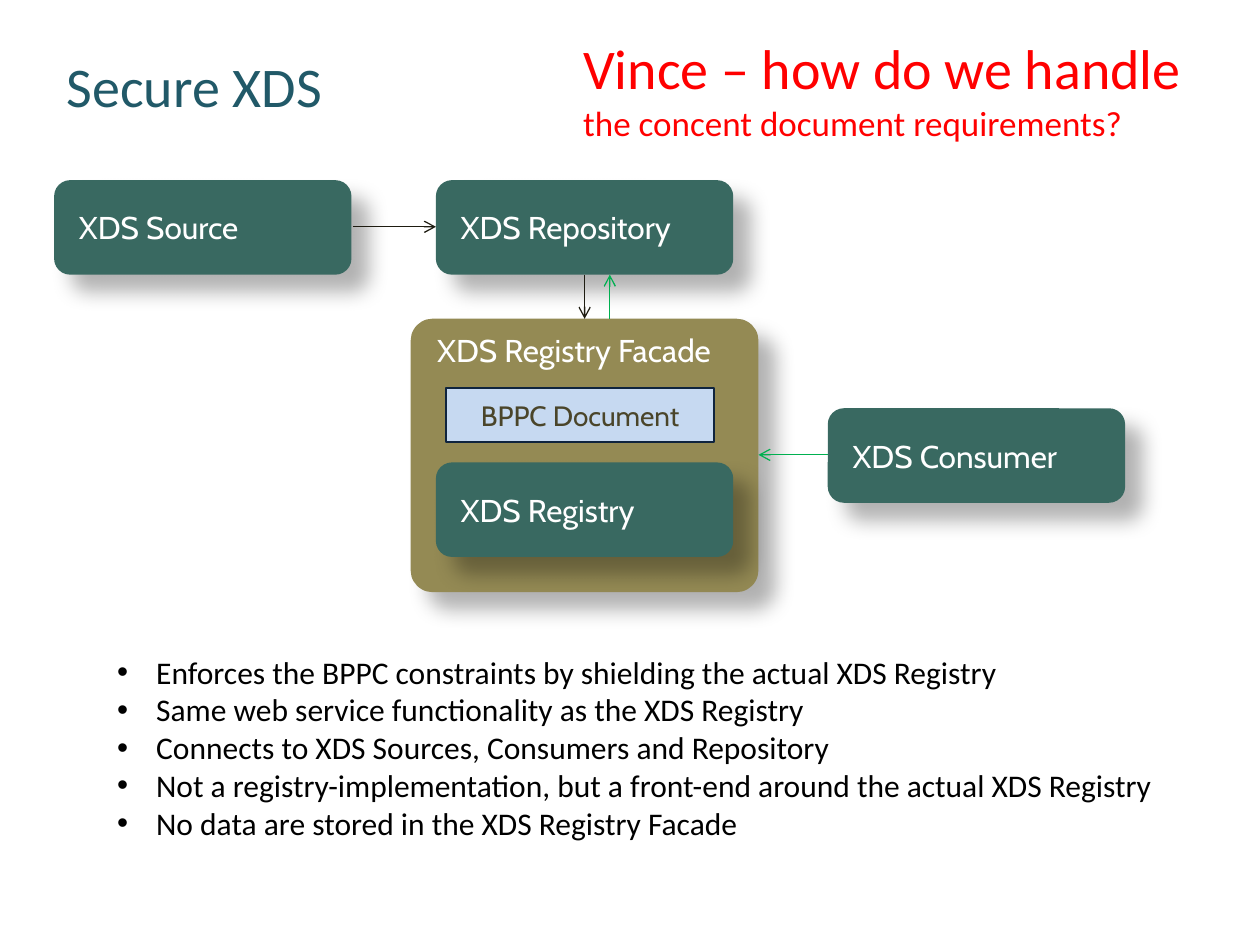
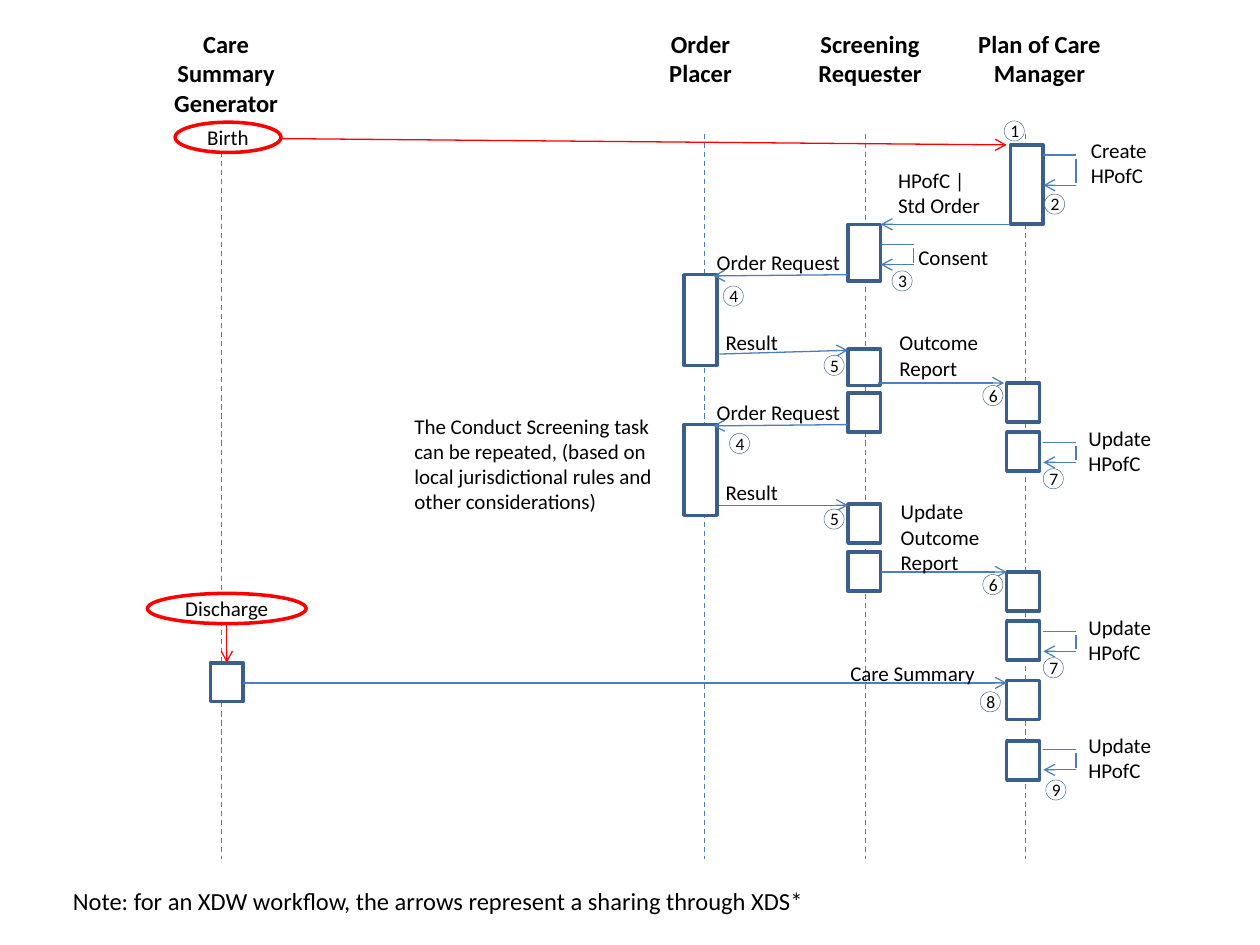
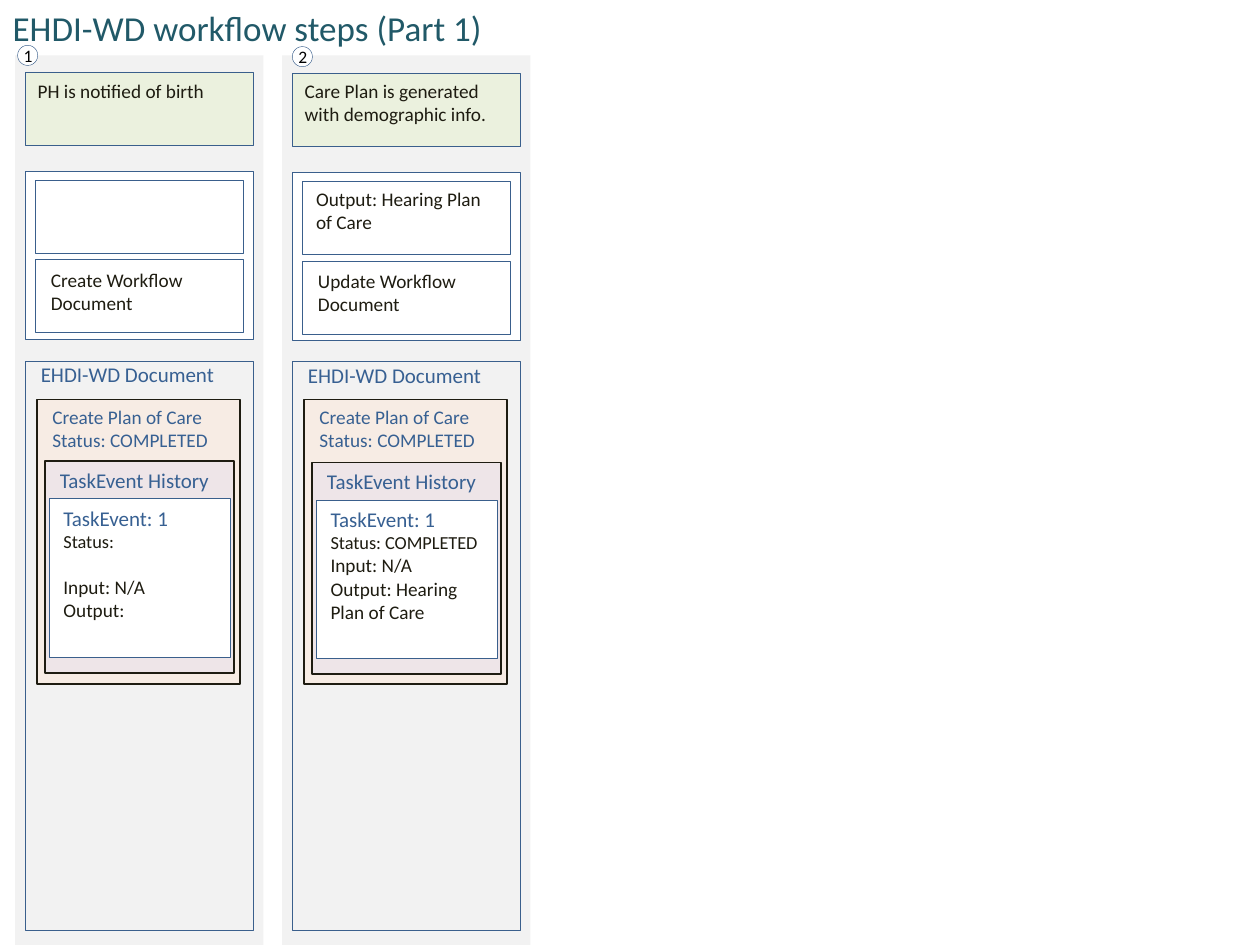
from dataclasses import dataclass, replace
from lxml.etree import SubElement
from pptx import Presentation
from pptx.dml.color import RGBColor
from pptx.enum.dml import MSO_LINE
from pptx.enum.shapes import MSO_CONNECTOR, MSO_SHAPE
from pptx.enum.text import MSO_ANCHOR, MSO_AUTO_SIZE, PP_ALIGN
from pptx.oxml.ns import qn
from pptx.util import Emu, Inches, Pt

COLUMNS, ROWS = 100, 75
TITLE_AND_BODY, TITLE_ONLY, BLANK = 1, 5, 6


@dataclass(frozen=True)
class Style:
    size: float
    color: str
    font: str = "Calibri"
    bold: bool = False
    before: float = 0


class Theme:
    # Colours
    white, black, red, green = "FFFFFF", "000000", "FF0000", "00B050"
    ink, navy, frame, flow = "1E1C11", "0F243E", "3A5F8C", "4B7EBC"
    teal, olive, sky = "396961", "948A54", "C6D9F1"
    panel, event, task, history = "F2F2F2", "EBF1DE", "FDE8D7", "E6E0EC"
    # Type
    title = Style(32, "215968")
    step_title = replace(title, size=20)
    question = Style(32, red)
    question_small = replace(question, size=20)
    card = Style(18, white, "Cabin")
    document = Style(16, "4A452A", "Cabin")
    bullet = Style(18, black)
    actor = Style(14, black, bold=True)
    note = Style(14, black)
    message = Style(12, black)
    badge = Style(10, black)
    heading = Style(12, "376092")
    status = Style(11, "376092")
    detail = Style(11, ink)
    detail_small = replace(detail, size=10.5)
    detail_apart = replace(detail, before=12.8)


class Deck:
    """Holds the style and the slide being drawn; lengths are grid columns and rows."""

    def __init__(self, theme):
        self.theme = theme
        self.show = Presentation()
        self.show.slide_width, self.show.slide_height = Inches(10), Inches(7.5)
        self.slide = None

    def new_slide(self, layout):
        self.slide = self.show.slides.add_slide(self.show.slide_layouts[layout])

    def cells(self, *lengths):
        """Turn alternating column and row counts into slide lengths."""
        units = (self.show.slide_width / COLUMNS, self.show.slide_height / ROWS)
        return [Emu(round(n * units[i % 2])) for i, n in enumerate(lengths)]

    def add_paragraphs(self, frame, paragraphs, style, align=PP_ALIGN.LEFT):
        """Each paragraph is a string, or a list of (text, style) runs."""
        for i, content in enumerate(paragraphs):
            paragraph = frame.paragraphs[0] if i == 0 else frame.add_paragraph()
            paragraph.alignment = align
            runs = [(content, style)] if isinstance(content, str) else content
            paragraph.space_before = Pt(runs[0][1].before)
            for text, look in runs:
                run = paragraph.add_run()
                run.text = text
                run.font.name, run.font.size = look.font, Pt(look.size)
                run.font.bold = look.bold
                run.font.color.rgb = RGBColor.from_string(look.color)

    def fill_placeholder(self, holder, at, paragraphs, style):
        holder.left, holder.top, holder.width, holder.height = self.cells(*at)
        frame = holder.text_frame
        frame.auto_size, frame.vertical_anchor = MSO_AUTO_SIZE.NONE, MSO_ANCHOR.TOP
        self.add_paragraphs(frame, paragraphs, style)

    def title(self, at, text, style):
        self.fill_placeholder(self.slide.shapes.title, at, [text], style)

    def bullets(self, at, items, style):
        body = self.slide.placeholders[1]
        self.fill_placeholder(body, at, items, style)
        for properties in body.element.iter(qn("a:pPr")):
            properties.set("marL", str(Inches(0.31)))
            properties.set("indent", str(-Inches(0.31)))

    def label(self, at, paragraphs, style, align=PP_ALIGN.LEFT, wrap=True, on=None):
        box = (on or self.slide.shapes).add_textbox(*self.cells(*at))
        box.text_frame.word_wrap = wrap
        box.text_frame.auto_size = MSO_AUTO_SIZE.SHAPE_TO_FIT_TEXT
        self.add_paragraphs(box.text_frame, paragraphs, style, align)

    def box(self, at, fill=None, line=None, weight=0.25, kind=MSO_SHAPE.RECTANGLE,
            opacity=None, on=None):
        shape = (on or self.slide.shapes).add_shape(kind, *self.cells(*at))
        shape.shadow.inherit = False
        if fill:
            shape.fill.solid()
            shape.fill.fore_color.rgb = RGBColor.from_string(fill)
        else:
            shape.fill.background()
        if line:
            shape.line.color.rgb = RGBColor.from_string(line)
            shape.line.width = Pt(weight)
        else:
            shape.line.fill.background()
        if opacity:
            color = shape.element.spPr.find(qn("a:solidFill")).find(qn("a:srgbClr"))
            SubElement(color, qn("a:alpha"), val=str(opacity * 1000))
        return shape

    def text_in(self, shape, paragraphs, style, left=0.1, anchor=MSO_ANCHOR.MIDDLE,
                align=PP_ALIGN.LEFT):
        frame = shape.text_frame
        frame.word_wrap, frame.vertical_anchor = True, anchor
        frame.margin_left = Inches(left)
        self.add_paragraphs(frame, paragraphs, style, align)

    def card(self, at, text, fill, rounding=0.17, anchor=MSO_ANCHOR.MIDDLE):
        """A rounded box with a soft shadow."""
        shape = self.box(at, fill, kind=MSO_SHAPE.ROUNDED_RECTANGLE)
        shape.adjustments[0] = rounding
        effects = shape.element.spPr.find(qn("a:effectLst"))
        shadow = SubElement(effects, qn("a:outerShdw"), blurRad=str(Pt(12)),
                            dist=str(Pt(14)), dir=str(45 * 60000),
                            algn="tl", rotWithShape="0")
        color = SubElement(shadow, qn("a:srgbClr"), val=self.theme.black)
        SubElement(color, qn("a:alpha"), val="30000")
        self.text_in(shape, [text], self.theme.card, 0.16, anchor)

    def line(self, ends, color, arrow=False, dashed=False, on=None):
        connector = (on or self.slide.shapes).add_connector(
            MSO_CONNECTOR.STRAIGHT, *self.cells(*ends))
        connector.line.color.rgb = RGBColor.from_string(color)
        connector.line.width = Pt(0.75)
        if dashed:
            connector.line.dash_style = MSO_LINE.DASH
        properties = connector.element.spPr
        if arrow:
            SubElement(properties.find(qn("a:ln")), qn("a:tailEnd"), type="arrow")
        SubElement(properties, qn("a:effectLst"))

    def badge(self, x, y, number):
        """A numbered circle."""
        group = self.slide.shapes.add_group_shape().shapes
        self.box((x, y, 1.6, 1.6), self.theme.white, self.theme.frame,
                 kind=MSO_SHAPE.OVAL, on=group)
        self.label((x - 0.5, y - 0.55, 2.7, 2.7), [str(number)], self.theme.badge,
                   wrap=False, on=group)

    def self_call(self, x, y, height=1.6):
        """Three lines that leave a bar and come back to it."""
        group = self.slide.shapes.add_group_shape().shapes
        right, bottom, color = x + 2.6, y + height, self.theme.flow
        self.line((x, y, right, y), color, on=group)
        self.line((right, y + 0.3, right, bottom - 0.15), color, on=group)
        self.line((right, bottom, x, bottom), color, arrow=True, on=group)


def secure_xds(deck):
    theme = deck.theme
    deck.new_slide(TITLE_AND_BODY)
    deck.title((4.3, 3.6, 81.2, 6.4), "Secure XDS", theme.title)

    # Systems, the facade first as it lies behind the registry
    deck.card((32.6, 25.3, 27.6, 21.7), "XDS Registry Facade", theme.olive, 0.08,
              MSO_ANCHOR.TOP)
    for x, y, system in ((4.3, 14.3, "XDS Source"), (34.6, 14.3, "XDS Repository"),
                         (65.7, 32.4, "XDS Consumer"), (34.6, 36.7, "XDS Registry")):
        deck.card((x, y, 23.6, 7.5), system, theme.teal)
    bppc = deck.box((35.4, 30.8, 21.3, 4.3), theme.sky, theme.navy, 1)
    deck.text_in(bppc, ["BPPC Document"], theme.document, align=PP_ALIGN.CENTER)

    # Flows
    for ends, color in (((28, 18, 34.6, 18), theme.ink),
                        ((46.4, 21.8, 46.4, 25.3), theme.ink),
                        ((65.7, 36.1, 60.2, 36.1), theme.green),
                        ((48.4, 25.3, 48.4, 21.8), theme.green)):
        deck.line(ends, color, arrow=True)

    # Properties of the facade and the open question
    deck.bullets((8.3, 51.3, 85, 16.2), (
        "Enforces the BPPC constraints by shielding the actual XDS Registry",
        "Same web service functionality as the XDS Registry",
        "Connects to XDS Sources, Consumers and Repository",
        "Not a registry-implementation, but a front-end around the actual XDS Registry",
        "No data are stored in the XDS Registry Facade"), theme.bullet)
    deck.label((45.3, 2.2, 53.5, 9.8), [[
        ("Vince – how do we handle", theme.question),
        (" the concent document requirements?", theme.question_small)]], theme.question)


def care_sequence(deck):
    theme = deck.theme
    deck.new_slide(BLANK)

    # Actors and their lifelines
    for x, width, height, names in (
            (12.8, 10.3, 8.1, ("Care", "Summary", "Generator")),
            (48.4, 14.4, 5.7, ("Order", "Placer")),
            (63.9, 10.3, 5.7, ("Screening", "Requester")),
            (76.6, 11.8, 5.7, ("Plan of Care", "Manager"))):
        deck.label((x, 1.8, width, height), names, theme.actor, PP_ALIGN.CENTER,
                   wrap=False)
    for x in (17.6, 55.9, 68.7, 81.4):
        deck.line((x, 10.6, x, 68.2), theme.flow, dashed=True)

    # Activity bars: left edge, then top and height of each
    short = 3.1
    bars = {
        16.7: ((52.6, short),),
        54.3: ((21.8, 7.2), (33.7, 7.2)),
        67.3: ((17.8, 4.5), (27.7, 2.9), (31.2, short), (40, short), (43.8, short)),
        79.9: [(y, short) for y in (30.4, 34.3, 45.4, 49.3, 54, 58.8)],
        80.2: ((11.5, 6.3),),
    }
    for x, spans in bars.items():
        for y, height in spans:
            deck.box((x, y, 2.6, height), theme.white, theme.frame, 2)

    # Triggers
    for at, trigger in (((13.9, 9.7, 8.4, 2.4), "Birth"),
                        ((11.7, 47.1, 12.6, 2.4), "Discharge")):
        oval = deck.box(at, theme.white, theme.red, 2, MSO_SHAPE.OVAL)
        deck.text_in(oval, [trigger], theme.message, align=PP_ALIGN.CENTER)
    for ends in ((22.4, 11, 79.9, 11.5), (18, 49.5, 18, 52.6)):
        deck.line(ends, theme.red, arrow=True)

    # Messages between actors
    for ends in ((80.2, 17.8, 69.9, 17.8), (67.3, 21.8, 56.6, 21.9),
                 (57.1, 28.1, 67.3, 27.8), (69.7, 30.4, 79.7, 30.4),
                 (67.3, 33.7, 56.6, 33.8), (57.1, 40.1, 67.3, 40.1),
                 (69.9, 45.4, 79.9, 45.4), (19.3, 54.2, 79.9, 54.2)):
        deck.line(ends, theme.flow, arrow=True)
    for at, text in (((70.3, 12.8, 10.4, 5), ("HPofC |", "Std Order")),
                     ((55.9, 19.3, 12.7, 3), ("Order Request",)),
                     ((55.9, 31.2, 13, 3), ("Order Request",)),
                     ((56.6, 25.7, 11.5, 3), ("Result",)),
                     ((56.6, 37.6, 11.5, 3), ("Result",)),
                     ((70.4, 25.7, 12.4, 5), ("Outcome Report",)),
                     ((70.5, 39.1, 12.4, 7.1), ("Update Outcome Report",)),
                     ((66.5, 51.9, 12.6, 3), ("Care Summary",)),
                     ((31.9, 32.3, 21.6, 9.1),
                      ("The Conduct Screening task can be repeated, (based on local "
                       "jurisdictional rules and other considerations)",))):
        deck.label(at, text, theme.message)

    # Steps an actor takes alone
    deck.self_call(82.8, 12.3, 2.4)
    deck.label((85.6, 10.4, 6.5, 5), ("Create", "HPofC"), theme.message, wrap=False)
    deck.self_call(69.9, 19.4)
    deck.label((71.9, 18.9, 7.6, 3), ("Consent",), theme.message, wrap=False)
    for y in (35.1, 50.1, 59.5):
        deck.self_call(82.8, y)
        deck.label((85.4, y - 1.85, 7, 5), ("Update", "HPofC"), theme.message, wrap=False)

    # Step numbers
    for x, y, number in ((79.7, 9.6, 1), (82.9, 15.4, 2), (70.8, 21.5, 3),
                         (57.4, 22.7, 4), (57.9, 34.4, 4), (65.4, 28.2, 5),
                         (65.4, 40.4, 5), (78, 30.6, 6), (78, 45.6, 6),
                         (82.8, 37.2, 7), (82.8, 52.2, 7), (77.8, 54.9, 8),
                         (83, 61.9, 9)):
        deck.badge(x, y, number)

    deck.label((4.8, 69.8, 61, 3.4),
               ("Note: for an XDW workflow, the arrows represent a sharing through XDS*",),
               theme.note, wrap=False)


def workflow_step(deck, x, drop, event, output, action, history):
    """One column of the workflow, shifted down by drop rows."""
    theme = deck.theme
    deck.box((x, 4.4, 19.7, 70.6), theme.panel)

    # Event, output and action
    deck.box((x + 0.8, 5.7 + drop, 18.1, 5.8), theme.event, theme.frame)
    deck.box((x + 0.8, 13.6 + drop, 18.1, 13.3), theme.white, theme.frame)
    for y in (14.3, 20.6):
        deck.box((x + 1.6, y + drop, 16.5, 5.8), line=theme.frame)
    deck.label((x + 0.8, 5.8, 18.1, 4.7), [event], theme.detail)
    if output:
        deck.label((x + 1.7, 14.4, 16.5, 4.7), [output], theme.detail)
    deck.label((x + 1.85, 20.8 + drop, 16.5, 4.7), action, theme.detail)

    # Document with its nested task and history
    deck.box((x + 0.8, 28.7, 18.1, 45.1), line=theme.frame)
    deck.label((x + 1.05, 28.2 + drop, 15.9, 3), ["EHDI-WD Document"], theme.heading,
               wrap=False)
    for at, fill, text, style in (
            ((x + 1.75, 31.7, 16.1, 22.6), theme.task,
             ("Create Plan of Care", "Status: COMPLETED"), theme.status),
            ((x + 2.35, 36.6 + drop, 15, 16.8), theme.history,
             ("TaskEvent History",), theme.heading)):
        layer = deck.box(at, fill, theme.ink, 1, opacity=50)
        deck.text_in(layer, text, style, 0.12, MSO_ANCHOR.TOP)
    deck.box((x + 2.7, 39.6 + drop, 14.4, 12.6), theme.white, theme.frame, 0.5)
    deck.label((x + 2.85, 39.6 + drop, 13.7, 14.1),
               [[("TaskEvent: 1", theme.heading)], *history], theme.detail)


def workflow_steps(deck):
    theme = deck.theme
    deck.new_slide(TITLE_ONLY)
    deck.title((0, 0, 100, 4.4), "EHDI-WD workflow steps (Part 1)", theme.step_title)
    workflow_step(deck, 1.2, 0, "PH is notified of birth", None,
                  ("Create Workflow", "Document"),
                  ([("Status:", theme.detail_small)],
                   [("Input: N/A", theme.detail_apart)], "Output:"))
    workflow_step(deck, 22.4, 0.1, "Care Plan is generated with demographic info.",
                  "Output: Hearing Plan of Care", ("Update Workflow Document",),
                  ([("Status: COMPLETED", theme.detail_small)],
                   "Input: N/A", "Output: Hearing Plan of Care"))
    deck.badge(1.4, 3.6, 1)
    deck.badge(23.2, 3.7, 2)


def main():
    deck = Deck(Theme())
    for build in (secure_xds, care_sequence, workflow_steps):
        build(deck)
    deck.show.save("out.pptx")


if __name__ == "__main__":
    main()
